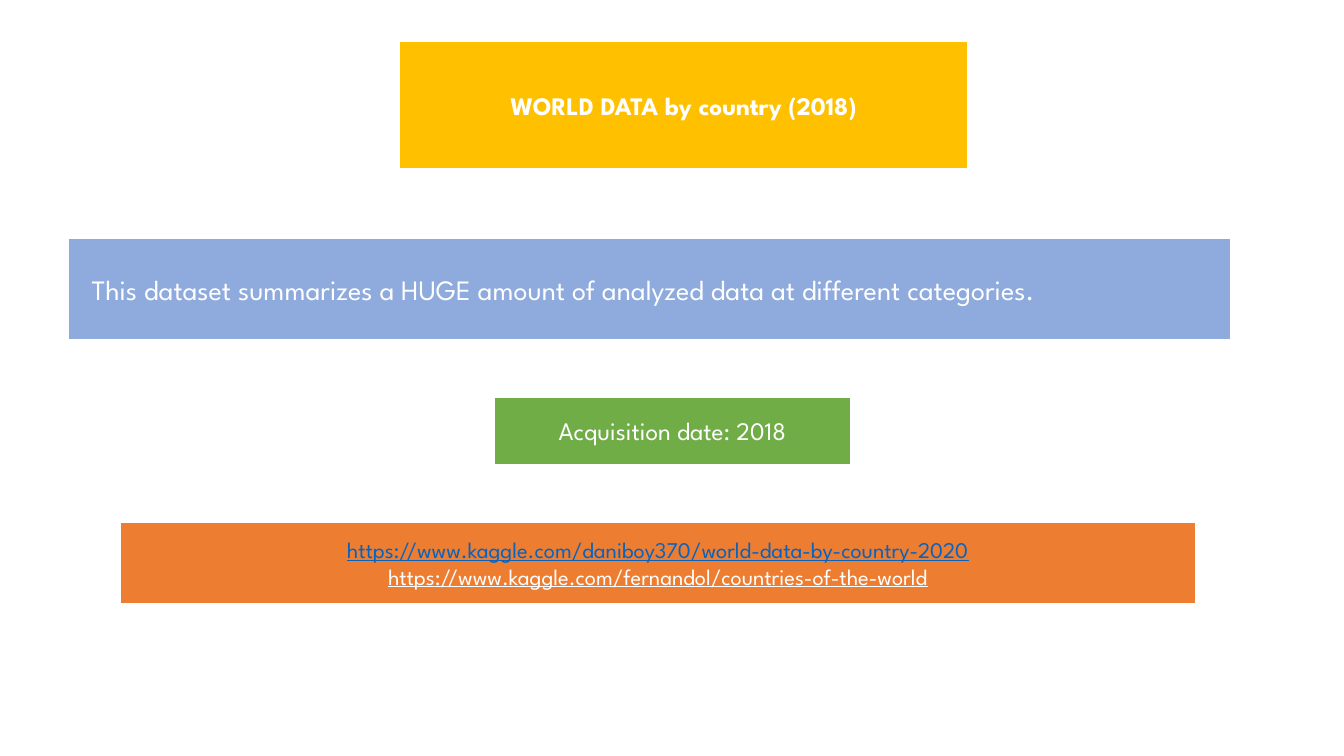
"""Build the world data overview slide."""
import pptx
import pptx.dml.color
import pptx.enum.shapes
import pptx.enum.text
import pptx.util

Inches = pptx.util.Inches
RGBColor = pptx.dml.color.RGBColor
PP_ALIGN = pptx.enum.text.PP_ALIGN

WHITE = RGBColor(0xFF, 0xFF, 0xFF)
GOLD = RGBColor(0xFF, 0xC0, 0x00)
BLUE = RGBColor(0x8F, 0xAA, 0xDC)
GREEN = RGBColor(0x70, 0xAD, 0x47)
ORANGE = RGBColor(0xED, 0x7D, 0x31)
LINK_BLUE = RGBColor(0x05, 0x63, 0xC1)


def write_line(p, text, size, color=WHITE, align=PP_ALIGN.CENTER):
    p.text = text
    p.alignment = align
    r = p.runs[0]
    r.font.name = "League Spartan"
    r.font.size = pptx.util.Pt(size)
    r.font.color.rgb = color
    return r


def add_panel(s, left, top, width, height, fill):
    sp = s.shapes.add_shape(
        pptx.enum.shapes.MSO_SHAPE.RECTANGLE,
        Inches(left), Inches(top), Inches(width), Inches(height))
    sp.shadow.inherit = False
    sp.fill.solid()
    sp.fill.fore_color.rgb = fill
    sp.line.color.rgb = WHITE
    sp.line.width = pptx.util.Pt(1.5)
    sp.text_frame.vertical_anchor = pptx.enum.text.MSO_ANCHOR.MIDDLE
    return sp.text_frame


prs = pptx.Presentation()
prs.slide_width = Inches(13.33)
prs.slide_height = Inches(7.5)
s = prs.slides.add_slide(prs.slide_layouts[6])

tf = add_panel(s, 3.96, 0.41, 5.64, 1.27, GOLD)
r = write_line(tf.paragraphs[0], "WORLD DATA by country (2018)", 18)
r.font.bold = True

add_panel(s, 0.67, 2.36, 11.54, 1.01, BLUE)
summary = s.shapes.add_textbox(Inches(0.81), Inches(2.65), Inches(11.27), Inches(0.44))
tf = summary.text_frame
tf.word_wrap = True
tf.auto_size = pptx.enum.text.MSO_AUTO_SIZE.SHAPE_TO_FIT_TEXT
write_line(
    tf.paragraphs[0],
    "This dataset summarizes a HUGE amount of analyzed data at different categories.",
    20, align=PP_ALIGN.LEFT)

tf = add_panel(s, 4.9, 3.94, 3.54, 0.67, GREEN)
write_line(tf.paragraphs[0], "Acquisition date: 2018", 18)

tf = add_panel(s, 1.19, 5.18, 10.67, 0.81, ORANGE)
tf.add_paragraph()
sources = [
    ("https://www.kaggle.com/daniboy370/world-data-by-country-2020", LINK_BLUE),
    ("https://www.kaggle.com/fernandol/countries-of-the-world", WHITE),
]
for p, (address, color) in zip(tf.paragraphs, sources):
    r = write_line(p, address, 16, color)
    r.font.underline = True

prs.save("out.pptx")
